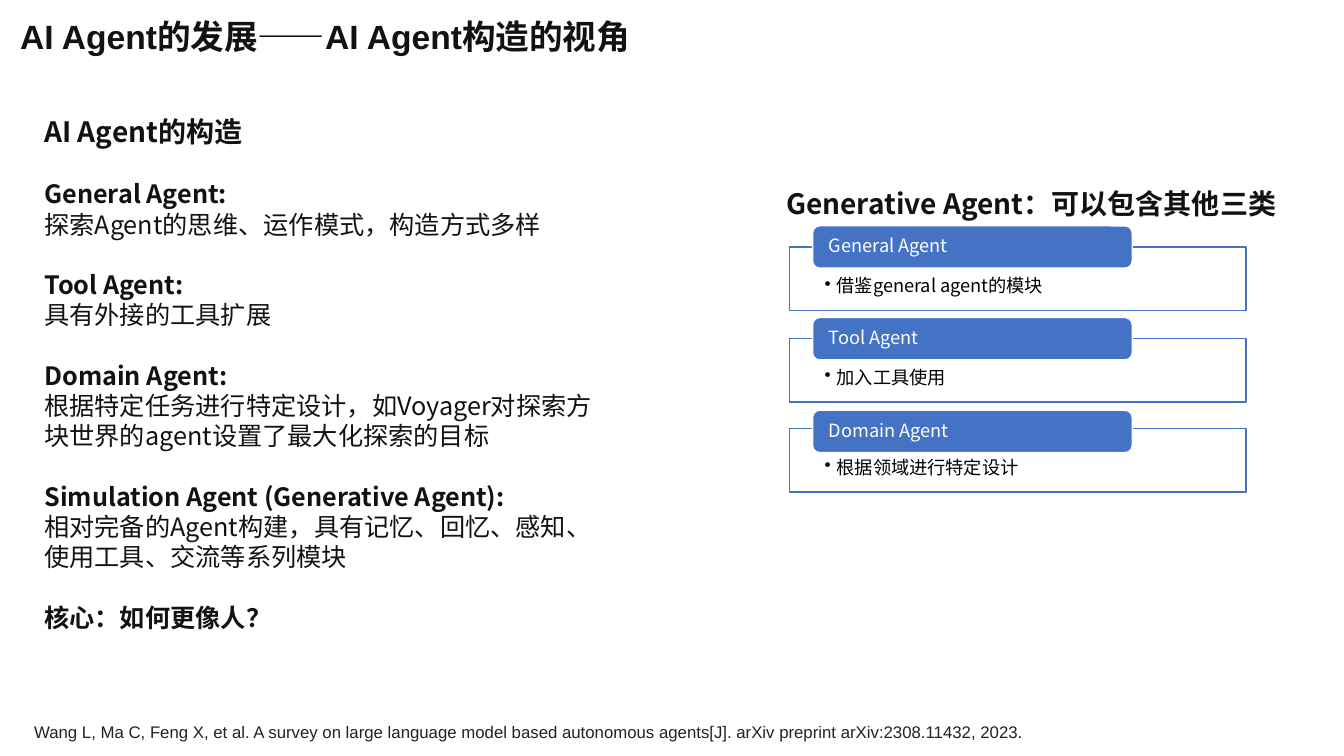
from lxml import etree
from pptx import Presentation
from pptx.dml.color import RGBColor
from pptx.enum.shapes import MSO_SHAPE as Shape
from pptx.enum.text import MSO_ANCHOR as Anchor, MSO_AUTO_SIZE as AutoSize, PP_ALIGN as Align
from pptx.oxml.ns import qn
from pptx.util import Inches, Pt

INK = RGBColor(0x10, 0x12, 0x14)
TITLE_INK = RGBColor(0x12, 0x12, 0x12)
CITATION_INK = RGBColor(0x22, 0x22, 0x22)
BLACK = RGBColor(0, 0, 0)
WHITE = RGBColor(0xFF, 0xFF, 0xFF)
BLUE = RGBColor(0x44, 0x72, 0xC4)
LATIN_FONT = "Arial"
CHINESE_FONT = "Noto Sans CJK SC"

AGENT_TYPES = [
    ("General Agent:", "探索Agent的思维、运作模式，构造方式多样"),
    ("Tool Agent:", "具有外接的工具扩展"),
    ("Domain Agent:", "根据特定任务进行特定设计，如Voyager对探索方块世界的agent设置了最大化探索的目标"),
    ("Simulation Agent (Generative Agent):",
     "相对完备的Agent构建，具有记忆、回忆、感知、使用工具、交流等系列模块"),
]
# Name, content, top of the label, top of the frame
MODULES = [
    ("General Agent", "借鉴general agent的模块", 2.24, 2.45),
    ("Tool Agent", "加入工具使用", 3.15, 3.36),
    ("Domain Agent", "根据领域进行特定设计", 4.07, 4.25),
]


def place(shape, left, top, width, height):
    shape.left, shape.top = Inches(left), Inches(top)
    shape.width, shape.height = Inches(width), Inches(height)


def set_bullet(paragraph, character=None, indent=0):
    """Set the bullet character, or none, with a hanging indent."""
    properties = paragraph._p.get_or_add_pPr()
    properties.set("marL", str(Inches(indent)))
    properties.set("indent", str(-Inches(indent)))
    if character:
        etree.SubElement(properties, qn("a:buChar")).set("char", character)
    else:
        etree.SubElement(properties, qn("a:buNone"))


def format_paragraph(paragraph, size, color, bold=False, name=CHINESE_FONT,
                     before=0, line_spacing=1.0):
    paragraph.alignment = Align.LEFT
    paragraph.space_before = Pt(before)
    paragraph.space_after = Pt(0)
    paragraph.line_spacing = line_spacing
    font = paragraph.font
    font.size, font.bold, font.name = Pt(size), bold, name
    font.color.rgb = color
    if name == CHINESE_FONT:
        east_asian = etree.SubElement(font._element, qn("a:ea"))
        east_asian.set("typeface", name)


def set_margins(frame, left, top, right, bottom):
    frame.margin_left, frame.margin_top = Inches(left), Inches(top)
    frame.margin_right, frame.margin_bottom = Inches(right), Inches(bottom)


def add_line(slide, text, box, size, color, **style):
    """Add a text box with one paragraph."""
    frame = slide.shapes.add_textbox(*map(Inches, box)).text_frame
    frame.word_wrap = True
    frame.text = text
    format_paragraph(frame.paragraphs[0], size, color, **style)


def fill_title(title, text):
    place(title, 0.1, 0.11, 12.97, 0.5)
    frame = title.text_frame
    frame.text = text
    frame.auto_size = AutoSize.NONE
    frame.vertical_anchor = Anchor.TOP
    format_paragraph(frame.paragraphs[0], 24, TITLE_INK, bold=True, name=LATIN_FONT)


def fill_agent_types(body):
    place(body, 0.34, 1.09, 5.77, 5.28)
    # Text, size, bold, space before
    lines = [("AI Agent的构造", 20, True, 0)]
    for name, description in AGENT_TYPES:
        lines += [(name, 18, True, 21.6), (description, 18, False, 0)]
    lines.append(("核心：如何更像人？", 18, True, 21.6))

    frame = body.text_frame
    frame.text = "\n".join(line[0] for line in lines)
    frame.auto_size = AutoSize.NONE
    for paragraph, (_, size, bold, before) in zip(frame.paragraphs, lines):
        set_bullet(paragraph)
        format_paragraph(paragraph, size, INK, bold, before=before)


def add_panel(slide, kind, box, fill, line, text, margins, anchor):
    """Add a filled shape with its text and return it."""
    panel = slide.shapes.add_shape(kind, *map(Inches, box))
    panel.shadow.inherit = False
    panel.fill.solid()
    panel.fill.fore_color.rgb = fill
    panel.line.color.rgb = line
    panel.line.width = Pt(1)
    frame = panel.text_frame
    frame.text = text
    frame.word_wrap = True
    frame.vertical_anchor = anchor
    set_margins(frame, *margins)
    return panel


def add_module(slide, name, content, label_top, frame_top):
    panel = add_panel(slide, Shape.RECTANGLE, (7.83, frame_top, 4.53, 0.63), WHITE, BLUE,
                      content, (0.35, 0.3, 0.35, 0.1), Anchor.TOP)
    color = panel.fill._xPr.find(".//" + qn("a:srgbClr"))
    etree.SubElement(color, qn("a:alpha")).set("val", "90000")
    paragraph = panel.text_frame.paragraphs[0]
    set_bullet(paragraph, "•", 0.12)
    format_paragraph(paragraph, 13, BLACK, line_spacing=0.9)

    label = add_panel(slide, Shape.ROUNDED_RECTANGLE, (8.06, label_top, 3.17, 0.42), BLUE, WHITE,
                      name, (0.14, 0, 0.14, 0), Anchor.MIDDLE)
    format_paragraph(label.text_frame.paragraphs[0], 13, WHITE, line_spacing=0.9)


def main():
    presentation = Presentation()
    presentation.slide_width, presentation.slide_height = Inches(13.33), Inches(7.5)
    slide = presentation.slides.add_slide(presentation.slide_layouts[1])

    # Title and agent types
    fill_title(slide.shapes.title, "AI Agent的发展——AI Agent构造的视角")
    fill_agent_types(slide.placeholders[1])

    # Modules of a generative agent
    for module in MODULES:
        add_module(slide, *module)
    add_line(slide, "Generative Agent：可以包含其他三类", (7.7, 1.8, 5.37, 0.44), 20, INK, bold=True)

    # Citation
    add_line(slide, "Wang L, Ma C, Feng X, et al. A survey on large language model based autonomous "
             "agents[J]. arXiv preprint arXiv:2308.11432, 2023.",
             (0.24, 7.11, 10.61, 0.3), 12, CITATION_INK, name=LATIN_FONT)

    presentation.save("out.pptx")


if __name__ == "__main__":
    main()
